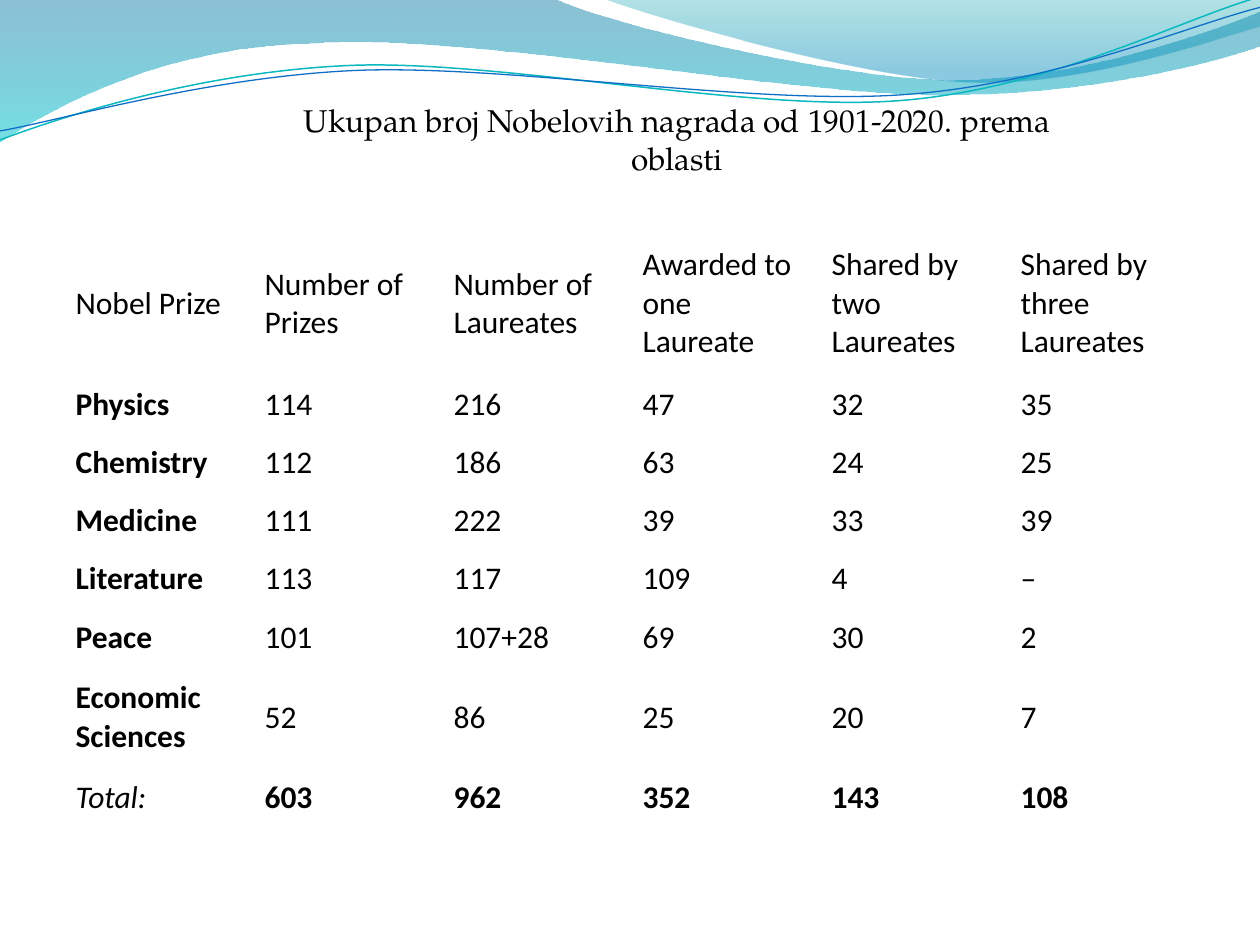
import math
from dataclasses import dataclass

from lxml import etree
from pptx import Presentation, util as u
from pptx.dml.color import RGBColor
from pptx.enum import text
from pptx.oxml.ns import qn

COLORS = {
    "text": "000000",
    "deep_blue": "0074A1",
    "turquoise": "00C6CF",
    "teal": "00A1A9",
    "sky": "008BBF",
    "teal_line": "0AB8BF",
    "blue_line": "0F6FC6",
}
LINE_ROTATION = 357.3
Point = tuple[float, float]
Segment = tuple[Point, ...]


@dataclass
class Stop:
    position: float
    color: str
    opacity: int


@dataclass
class Wave:
    """Outline in cm: a segment has one point if straight, three if a Bezier curve."""
    start: Point
    segments: list[Segment]


@dataclass
class Band(Wave):
    stops: tuple[Stop, Stop]


@dataclass
class Ribbon(Wave):
    """A tilted line, given as it appears after turning about its center."""
    center: Point
    color: str
    width: float


BANDS = [
    Band((0, 0), [
        ((11.18, -0.03),),
        ((12.09, 0.43), (16.87, 1.6), (19.25, 1.6)),
        ((21.67, 1.6), (24.33, 0.66), (25.4, 0.23)),
        ((25.43, 0.91),),
        ((24.97, 1.12), (22.1, 1.93), (18.95, 1.91)),
        ((15.8, 1.91), (9.7, 0.71), (6.53, 0.86)),
        ((3.28, 0.91), (1.17, 2.11), (-0.03, 2.87)),
        ((0, 0),),
    ], (Stop(0, "deep_blue", 45), Stop(1, "turquoise", 55))),
    Band((12.17, -0.03), [
        ((12.93, 0.28), (17.32, 1.57), (19.53, 1.65)),
        ((21.74, 1.75), (24.41, 0.81), (25.4, 0.53)),
        ((25.4, 0),),
        ((12.17, -0.03),),
    ], (Stop(0, "teal", 30), Stop(0.8, "sky", 45))),
]
RIBBONS = [
    Ribbon((0, 2.82), [
        ((1.22, 2.36), (4.01, 1.45), (7.04, 1.32)),
        ((10.03, 1.19), (15.06, 2.26), (18.11, 2.03)),
        ((21.16, 1.8), (23.83, 0.38), (25.35, -0.05)),
    ], (12.67, 1.46), "teal_line", 0.85),
    Ribbon((0, 2.64), [
        ((1.19, 2.44), (4.17, 1.55), (7.19, 1.42)),
        ((10.24, 1.3), (15.16, 2.13), (18.21, 1.91)),
        ((21.23, 1.7), (23.9, 0.53), (25.4, 0.15)),
    ], (12.69, 1.5), "blue_line", 0.75),
]

TITLE = "Ukupan broj Nobelovih nagrada od 1901-2020. prema oblasti"
PRIZES = [
    ("Nobel Prize", "Number of Prizes", "Number of Laureates",
     "Awarded to one Laureate", "Shared by two Laureates", "Shared by three Laureates"),
    ("Physics", "114", "216", "47", "32", "35"),
    ("Chemistry", "112", "186", "63", "24", "25"),
    ("Medicine", "111", "222", "39", "33", "39"),
    ("Literature", "113", "117", "109", "4", "–"),
    ("Peace", "101", "107+28", "69", "30", "2"),
    ("Economic Sciences", "52", "86", "25", "20", "7"),
    ("Total:", "603", "962", "352", "143", "108"),
]
COLUMN_WIDTH = 3.81
ROW_HEIGHT = 1.17
TALL_ROWS = {0: 2.92, 6: 2.06}


def rgb(name: str) -> RGBColor:
    return RGBColor.from_string(COLORS[name])


def turn(point: Point, center: Point, degrees: float) -> Point:
    angle = math.radians(degrees)
    dx, dy = point[0] - center[0], point[1] - center[1]
    return (center[0] + dx * math.cos(angle) - dy * math.sin(angle),
            center[1] + dx * math.sin(angle) + dy * math.cos(angle))


def build_outline(shapes, start: Point, segments: list[Segment], close: bool):
    """Build a freeform, joining each run of three control points into a curve."""
    points = [start, *(point for segment in segments for point in segment)]
    vertices = [(u.Cm(x), u.Cm(y)) for x, y in points]
    builder = shapes.build_freeform(*vertices[0])
    builder.add_line_segments(vertices[1:], close=close)
    shape = builder.convert_to_shape()
    shape.shadow.inherit = False
    lines = iter(list(shape._element.spPr.iter(qn("a:lnTo"))))
    for segment in segments:
        first, *others = [next(lines) for _ in segment]
        if others:
            first.tag = qn("a:cubicBezTo")
            for other in others:
                first.append(other[0])
                other.getparent().remove(other)
    return shape


def draw_band(shapes, band: Band) -> None:
    shape = build_outline(shapes, band.start, band.segments, close=True)
    shape.line.fill.background()
    shape.fill.gradient()
    shape.fill.gradient_angle = 270
    for gradient_stop, stop in zip(shape.fill.gradient_stops, band.stops):
        gradient_stop.position = stop.position
        gradient_stop.color.rgb = rgb(stop.color)
    color_elements = list(shape._element.spPr.iter(qn("a:srgbClr")))
    for element, stop in zip(color_elements, band.stops):
        etree.SubElement(element, qn("a:alpha"), val=str(stop.opacity * 1000))


def draw_ribbon(shapes, ribbon: Ribbon) -> None:
    start, *points = [
        turn(point, ribbon.center, -LINE_ROTATION)
        for segment in [(ribbon.start,), *ribbon.segments] for point in segment]
    segments = [tuple(points[i:i + 3]) for i in range(0, len(points), 3)]
    shape = build_outline(shapes, start, segments, close=False)
    shape.rotation = LINE_ROTATION
    shape.fill.background()
    shape.line.color.rgb = rgb(ribbon.color)
    shape.line.width = u.Pt(ribbon.width)


def format_text(paragraph, font_name: str, bold: bool = False, italic: bool = False) -> None:
    for run in paragraph.runs:
        run.font.name = font_name
        run.font.size = u.Pt(18)
        run.font.color.rgb = rgb("text")
        run.font.bold = bold
        run.font.italic = italic


def draw_prize_table(slide) -> None:
    heights = [TALL_ROWS.get(index, ROW_HEIGHT) for index in range(len(PRIZES))]
    columns = len(PRIZES[0])
    table = slide.shapes.add_table(
        len(PRIZES), columns, u.Cm(1.27), u.Cm(4.66),
        u.Cm(columns * COLUMN_WIDTH), u.Cm(sum(heights))).table
    table.first_row = table.horz_banding = False
    for column in table.columns:
        column.width = u.Cm(COLUMN_WIDTH)
    for row_index, values in enumerate(PRIZES):
        table.rows[row_index].height = u.Cm(heights[row_index])
        is_total = row_index == len(PRIZES) - 1
        for column_index, value in enumerate(values):
            cell = table.cell(row_index, column_index)
            cell.fill.background()
            cell.vertical_anchor = text.MSO_ANCHOR.MIDDLE
            cell.text_frame.text = value
            is_label = column_index == 0
            format_text(cell.text_frame.paragraphs[0], "Calibri",
                        bold=row_index > 0 and is_label != is_total,
                        italic=is_label and is_total)


def draw_title(slide) -> None:
    frame = slide.shapes.add_textbox(
        u.Cm(5.71), u.Cm(1.91), u.Cm(15.88), u.Cm(1.8)).text_frame
    frame.word_wrap = True
    frame.auto_size = text.MSO_AUTO_SIZE.SHAPE_TO_FIT_TEXT
    frame.text = TITLE
    paragraph = frame.paragraphs[0]
    paragraph.alignment = text.PP_ALIGN.CENTER
    format_text(paragraph, "TeX Gyre Pagella")


presentation = Presentation()
presentation.slide_width, presentation.slide_height = u.Cm(25.4), u.Cm(19.05)
slide = presentation.slides.add_slide(presentation.slide_layouts[6])
for band in BANDS:
    draw_band(slide.shapes, band)
ribbon_group = slide.shapes.add_group_shape()
for ribbon in RIBBONS:
    draw_ribbon(ribbon_group.shapes, ribbon)
draw_prize_table(slide)
draw_title(slide)
presentation.save("out.pptx")
